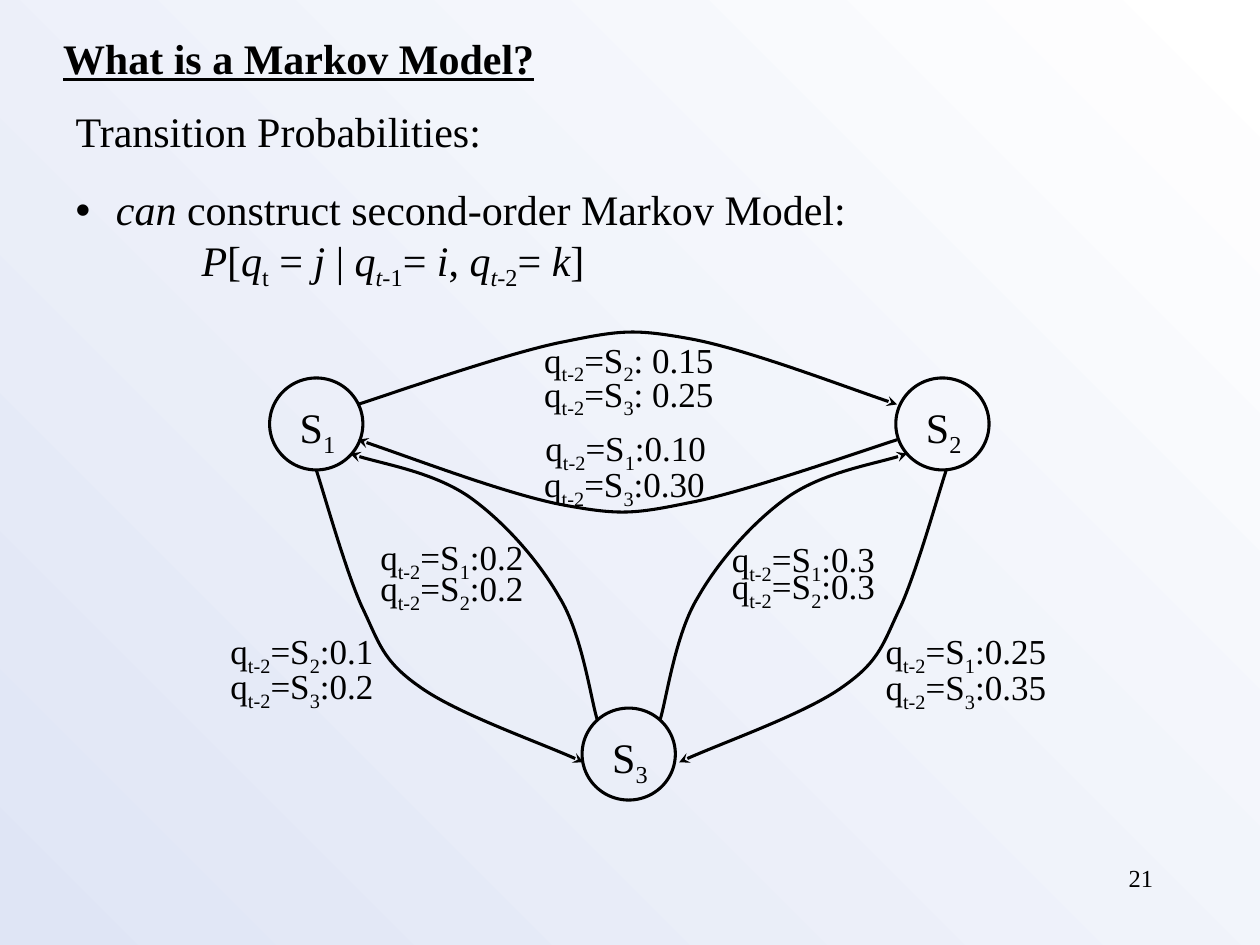
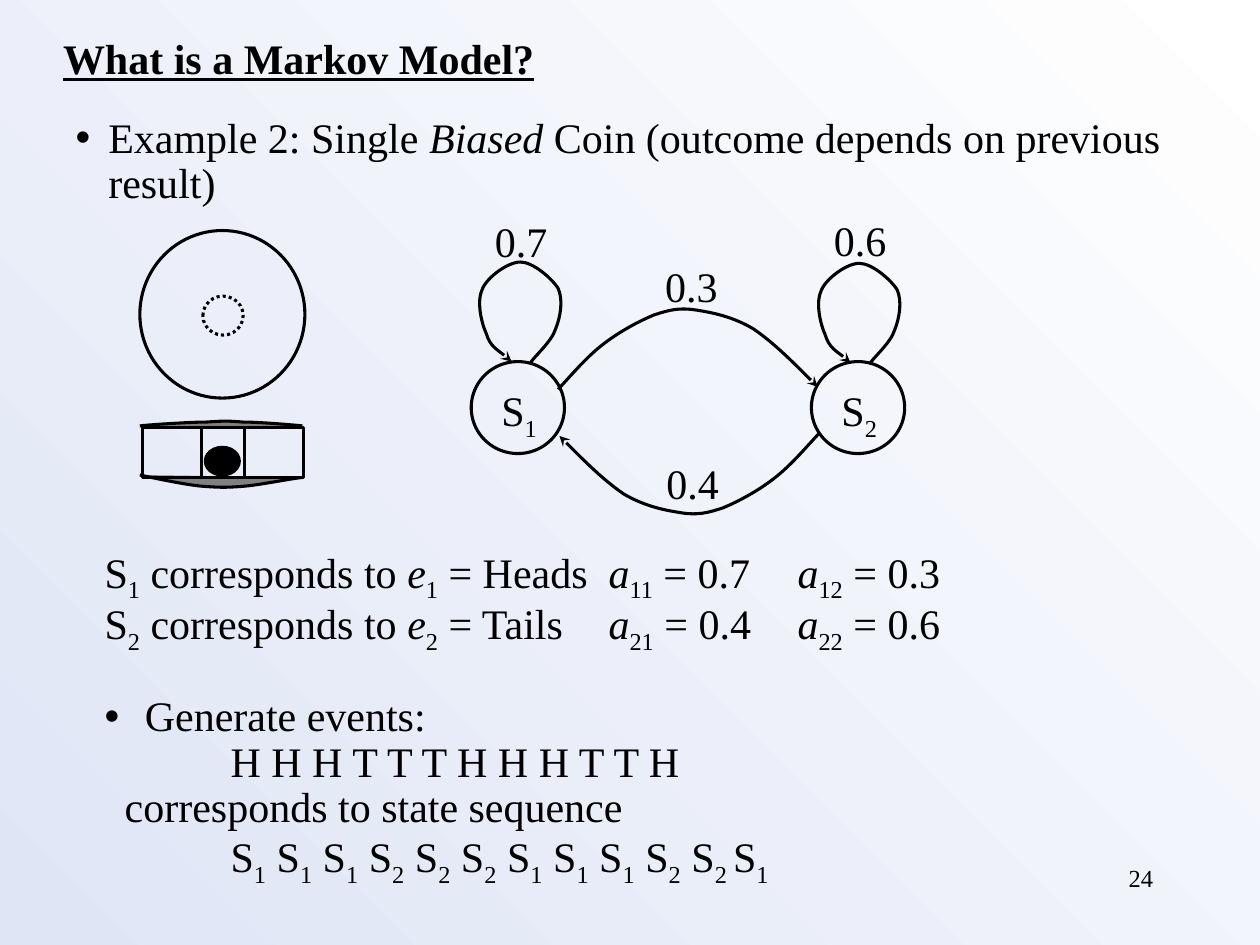
from lxml import etree
from pptx import Presentation
from pptx.dml.color import RGBColor
from pptx.enum.dml import MSO_LINE
from pptx.enum.shapes import MSO_SHAPE
from pptx.enum.text import MSO_ANCHOR, MSO_AUTO_SIZE, PP_ALIGN
from pptx.oxml.ns import qn
from pptx.util import Pt

OVAL, RECT = MSO_SHAPE.OVAL, MSO_SHAPE.RECTANGLE
LEFT, RIGHT = PP_ALIGN.LEFT, PP_ALIGN.RIGHT
TOP, NO_FIT = MSO_ANCHOR.TOP, MSO_AUTO_SIZE.NONE
DOTTED = MSO_LINE.ROUND_DOT

PX = 9144
C = {"ink": "000000", "lens": "808080", "light": "FFFFFF", "sky": "DFE5F5"}
BODY = {"name": "Times New Roman", "size": Pt(24), "bold": False}
TITLE = {**BODY, "bold": True, "underline": True}
LABEL = {**BODY, "size": Pt(20)}
NUMBER = {**BODY, "size": Pt(14)}
TITLE_TEXT = "What is a Markov Model?"


def rgb(name):
    return RGBColor.from_string(C[name])


def emu(*lengths):
    return [n * PX for n in lengths]


def para(text, left=0, hang=0, before=0, tabs=()):
    return {"text": text, "left": left, "hang": hang, "before": before, "tabs": tabs}


def mirror(points, axis_sum):
    return [(axis_sum - x, y) for x, y in points]


def turn(points, x_sum, y_sum):
    return [(x_sum - x, y_sum - y) for x, y in points]


class Deck:
    def __init__(self):
        self.prs = Presentation()
        self.prs.slide_width, self.prs.slide_height = emu(1000, 750)
        fill = self.prs.slide_master.background.fill
        fill.gradient()
        fill.gradient_angle = 225
        for stop, name in zip(fill.gradient_stops, ("light", "sky")):
            stop.color.rgb = rgb(name)

    def slide(self, layout, number):
        self.s = self.prs.slides.add_slide(self.prs.slide_layouts[layout])
        self.holder(0, (40, 21, 420, 50), [para(TITLE_TEXT)], TITLE, spacing=1.0)
        self.label(717, 683, str(number), 208, NUMBER, RIGHT)

    def holder(self, idx, box, paras, fmt=BODY, spacing=0.9):
        sp = self.s.placeholders[idx]
        sp.left, sp.top, sp.width, sp.height = emu(*box)
        self.text(sp.text_frame, paras, fmt, spacing)

    def label(self, x, y, text, width=178, fmt=LABEL, align=LEFT):
        sp = self.s.shapes.add_textbox(*emu(x, y, width, 46))
        self.text(sp.text_frame, [para(text)], fmt, 0.9, align)

    def text(self, tf, paras, fmt, spacing, align=LEFT):
        tf.word_wrap = True
        tf.auto_size = NO_FIT
        tf.vertical_anchor = TOP
        for i, item in enumerate(paras):
            p = tf.add_paragraph() if i else tf.paragraphs[0]
            p.alignment = align
            p.line_spacing = spacing
            p.space_before = Pt(item["before"])
            self.indent(p, item)
            for j, part in enumerate(item["text"].split("*")):
                for k, piece in enumerate(part.split("~")):
                    if piece:
                        self.run(p, piece, {**fmt, "italic": j % 2 == 1}, k % 2)

    def indent(self, p, item):
        pPr = p._p.get_or_add_pPr()
        pPr.set("marL", str(item["left"] * PX))
        pPr.set("indent", str(-item["hang"] * PX))
        if item["hang"]:
            etree.SubElement(pPr, qn("a:buChar"), char="•")
        else:
            etree.SubElement(pPr, qn("a:buNone"))
        if item["tabs"]:
            tabs = etree.SubElement(pPr, qn("a:tabLst"))
            for pos in item["tabs"]:
                etree.SubElement(tabs, qn("a:tab"), pos=str(pos * PX), algn="l")

    def run(self, p, text, fmt, subscript):
        r = p.add_run()
        r.text = text
        for key, value in fmt.items():
            setattr(r.font, key, value)
        r.font.color.rgb = rgb("ink")
        if subscript:
            r._r.get_or_add_rPr().set("baseline", "-25000")

    def style(self, sp, fill):
        sp.shadow.inherit = False
        if fill:
            sp.fill.solid()
            sp.fill.fore_color.rgb = rgb(fill)
        else:
            sp.fill.background()
        sp.line.color.rgb = rgb("ink")
        sp.line.width = Pt(1.75)

    def shape(self, kind, box, fill=None, dash=None):
        sp = self.s.shapes.add_shape(kind, *emu(*box))
        self.style(sp, fill)
        if dash:
            sp.line.dash_style = dash

    def state(self, x, y, n):
        self.shape(OVAL, (x, y, 74, 73))
        self.label(x + 14, y + 14, f"S~{n}~", 52, BODY)

    def curve(self, points, fill=None, arrow=True):
        builder = self.s.shapes.build_freeform(*points[0], scale=PX)
        builder.add_line_segments(points[1:], close=False)
        sp = builder.convert_to_shape()
        self.style(sp, fill)
        outline = next(sp._element.iter(qn("a:path")))
        steps = outline.findall(qn("a:lnTo"))
        for i in range(0, len(steps), 3):
            bezier = etree.SubElement(outline, qn("a:cubicBezTo"))
            for step in steps[i:i + 3]:
                bezier.append(step[0])
                outline.remove(step)
        if arrow:
            ln = sp._element.spPr.find(qn("a:ln"))
            etree.SubElement(ln, qn("a:tailEnd"), type="stealth")


def second_order(d):
    d.slide(1, 21)
    d.holder(1, (50, 83, 877, 150), [
        para("Transition Probabilities:"),
        para("*can* construct second-order Markov Model:", 32, 32, before=19),
        para("*P*[*q*~t~ = *j* | *q~t~*~-1~= *i*, *q~t~*~-2~= *k*]", 100),
    ])
    for n, (x, y) in enumerate([(214, 300), (711, 300), (462, 562)], 1):
        d.state(x, y, n)

    s2_to_s1 = [(712, 349), (684, 358), (590, 391), (547, 399), (503, 408),
                (492, 409), (448, 401), (404, 393), (318, 360), (284, 349)]
    s2_to_s3 = [(751, 373), (745, 391), (728, 452), (715, 481), (701, 510),
                (699, 524), (669, 545), (640, 566), (566, 592), (539, 605)]
    s3_to_s2 = [(524, 571), (529, 555), (536, 503), (554, 474), (571, 444),
                (599, 413), (626, 394), (654, 375), (701, 367), (720, 360)]
    s1_to_s2 = turn(s2_to_s1, 996, 670)
    for points in (s2_to_s1, s1_to_s2, s2_to_s3, mirror(s2_to_s3, 1002),
                   s3_to_s2, mirror(s3_to_s2, 998)):
        d.curve(points)

    for x, y, n, value in [
        (422, 264, 2, ": 0.15"), (422, 291, 3, ": 0.25"),
        (423, 334, 1, ":0.10"), (422, 363, 3, ":0.30"),
        (292, 421, 1, ":0.2"), (292, 445, 2, ":0.2"),
        (571, 422, 1, ":0.3"), (571, 444, 2, ":0.3"),
        (173, 495, 2, ":0.1"), (173, 523, 3, ":0.2"),
        (693, 495, 1, ":0.25"), (693, 524, 3, ":0.35"),
    ]:
        d.label(x, y, f"q~t-2~=S~{n}~{value}")


def biased_coin(d):
    d.slide(3, 24)
    d.holder(1, (50, 88, 911, 82), [
        para("Example 2: Single *Biased* Coin (outcome depends on previous result)", 26, 26),
    ])
    columns = (500, 700)
    sequence = " ".join(f"S~{n}~" for n in (1, 1, 1, 2, 2, 2, 1, 1, 1, 2))
    d.holder(2, (73, 429, 852, 277), [
        para("S~1~ corresponds to *e*~1~ = Heads\t*a*~11~ = 0.7\t*a*~12~ = 0.3", tabs=columns),
        para("S~2~ corresponds to *e*~2~ = Tails\t*a*~21~ = 0.4\t*a*~22~ = 0.6", tabs=columns),
        para("Generate events:", 32, 32, before=26),
        para("H H H T T T H H H T T H", 100),
        para("corresponds to state sequence", 16),
        para(f"{sequence} S~2 ~S~1~", 100),
    ])

    upper_lens = [(111, 338), (120, 337), (151, 335), (164, 335), (178, 334),
                  (180, 334), (193, 335), (205, 335), (230, 337), (240, 338)]
    lower_lens = [(111, 377), (120, 379), (148, 385), (161, 386), (175, 387),
                  (180, 387), (193, 386), (206, 385), (230, 380), (240, 379)]
    for points in (upper_lens, lower_lens):
        d.curve(points, "lens", arrow=False)
    d.shape(RECT, (113, 339, 128, 40))
    d.shape(RECT, (160, 339, 34, 40))
    d.shape(OVAL, (111, 183, 131, 133))
    d.shape(OVAL, (161, 235, 32, 31), dash=DOTTED)
    d.shape(OVAL, (163, 355, 27, 22), "ink")

    s1_to_s2 = [(443, 309), (455, 296), (466, 283), (479, 273), (492, 263),
                (507, 255), (519, 250), (531, 246), (539, 244), (552, 246),
                (565, 248), (581, 251), (598, 261), (614, 272), (631, 289), (649, 307)]
    loop = [(421, 288), (424, 283), (438, 271), (441, 261), (445, 251),
            (447, 238), (443, 229), (438, 221), (423, 208), (413, 208),
            (403, 208), (387, 220), (383, 229), (378, 239), (382, 256),
            (386, 265), (389, 275), (401, 282), (406, 287)]
    for n, x in enumerate((374, 644), 1):
        d.state(x, 287, n)
    for points in (s1_to_s2, turn(s1_to_s2, 1093, 653),
                   loop, [(x + 269, y + 1) for x, y in loop]):
        d.curve(points)
    for x, y, value in [(383, 171, "0.7"), (652, 170, "0.6"),
                        (518, 206, "0.3"), (519, 363, "0.4")]:
        d.label(x, y, value, 66, BODY)


def main():
    d = Deck()
    second_order(d)
    biased_coin(d)
    d.prs.save("out.pptx")


if __name__ == "__main__":
    main()
